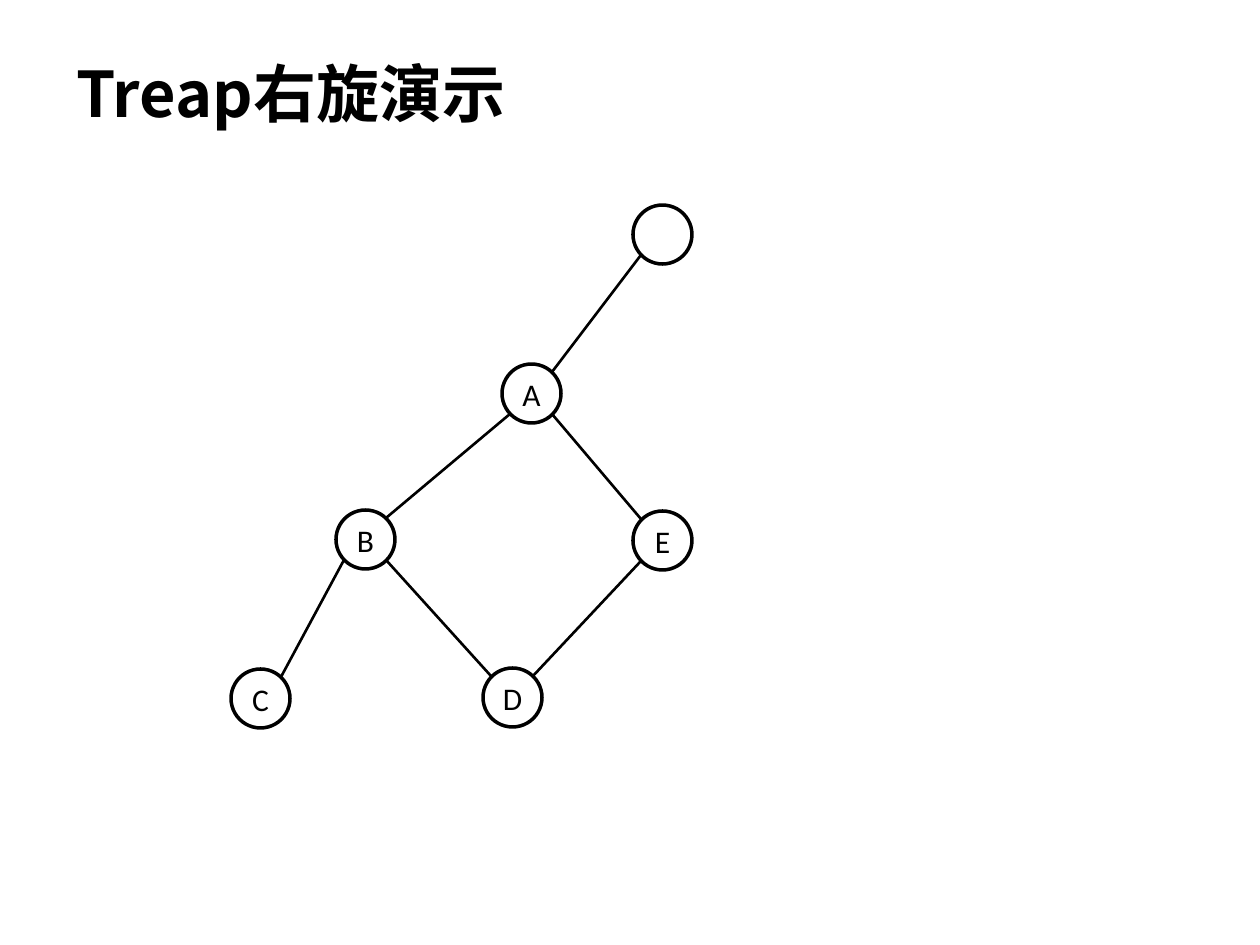
from math import copysign

from lxml.etree import SubElement
from pptx import Presentation
from pptx.dml.color import RGBColor
from pptx.enum.shapes import MSO_CONNECTOR as Connector, MSO_SHAPE as Shape
from pptx.enum.text import MSO_ANCHOR as Anchor, PP_ALIGN as Align
from pptx.oxml.ns import qn
from pptx.util import Emu, Pt

BLACK = RGBColor(0x00, 0x00, 0x00)
WHITE = RGBColor(0xFF, 0xFF, 0xFF)

EMU_PER_PX = 914400 / 126
DIAMETER = 59
DIAGONAL = 21

NODES = {
    "D": (512, 697),
    "": (662, 234),
    "B": (365, 539),
    "C": (260, 698),
    "A": (531, 393),
    "E": (662, 540),
}
EDGES = [("C", "B"), ("", "A"), ("D", "E"), ("D", "B"), ("B", "A"), ("A", "E")]


def px(length):
    return Emu(round(length * EMU_PER_PX))


def write(frame, text, *, font, size, bold=False, align=Align.LEFT):
    frame.word_wrap = True
    frame.vertical_anchor = Anchor.MIDDLE
    paragraph = frame.paragraphs[0]
    paragraph.alignment = align
    run = paragraph.add_run()
    run.text = text
    run.font.name = font
    run.font.size = Pt(size)
    run.font.bold = bold
    run.font.color.rgb = BLACK
    SubElement(run._r.get_or_add_rPr(), qn("a:ea")).set("typeface", font)


class TreeSlide:
    title_font = "Noto Sans CJK JP"
    node_font = "Calibri"
    node_line = Pt(2)
    edge_line = Pt(1.5)

    def __init__(self, presentation):
        self.slide = presentation.slides.add_slide(presentation.slide_layouts[5])

    def title(self, text, left, top, width, height):
        shape = self.slide.shapes.title
        shape.left, shape.top = px(left), px(top)
        shape.width, shape.height = px(width), px(height)
        write(shape.text_frame, text, font=self.title_font, size=36, bold=True)

    def node(self, label, x, y):
        radius = DIAMETER // 2
        shape = self.slide.shapes.add_shape(
            Shape.OVAL, px(x - radius), px(y - radius), px(DIAMETER), px(DIAMETER)
        )
        shape.shadow.inherit = False
        shape.fill.solid()
        shape.fill.fore_color.rgb = WHITE
        shape.line.color.rgb = BLACK
        shape.line.width = self.node_line
        if label:
            frame = shape.text_frame
            frame.margin_left = frame.margin_right = 0
            write(frame, label, font=self.node_font, size=18, align=Align.CENTER)

    def edge(self, start, end):
        (x1, y1), (x2, y2) = start, end
        dx, dy = copysign(DIAGONAL, x2 - x1), copysign(DIAGONAL, y2 - y1)
        connector = self.slide.shapes.add_connector(
            Connector.STRAIGHT, px(x1 + dx), px(y1 + dy), px(x2 - dx), px(y2 - dy)
        )
        connector.line.color.rgb = BLACK
        connector.line.width = self.edge_line
        SubElement(connector._element.spPr, qn("a:effectLst"))


def main():
    presentation = Presentation()
    presentation.slide_width, presentation.slide_height = px(1260), px(945)
    tree = TreeSlide(presentation)
    tree.title("Treap右旋演示", 64, 37, 1131, 110)
    for label, (x, y) in NODES.items():
        tree.node(label, x, y)
    for start, end in EDGES:
        tree.edge(NODES[start], NODES[end])
    presentation.save("out.pptx")


if __name__ == "__main__":
    main()
